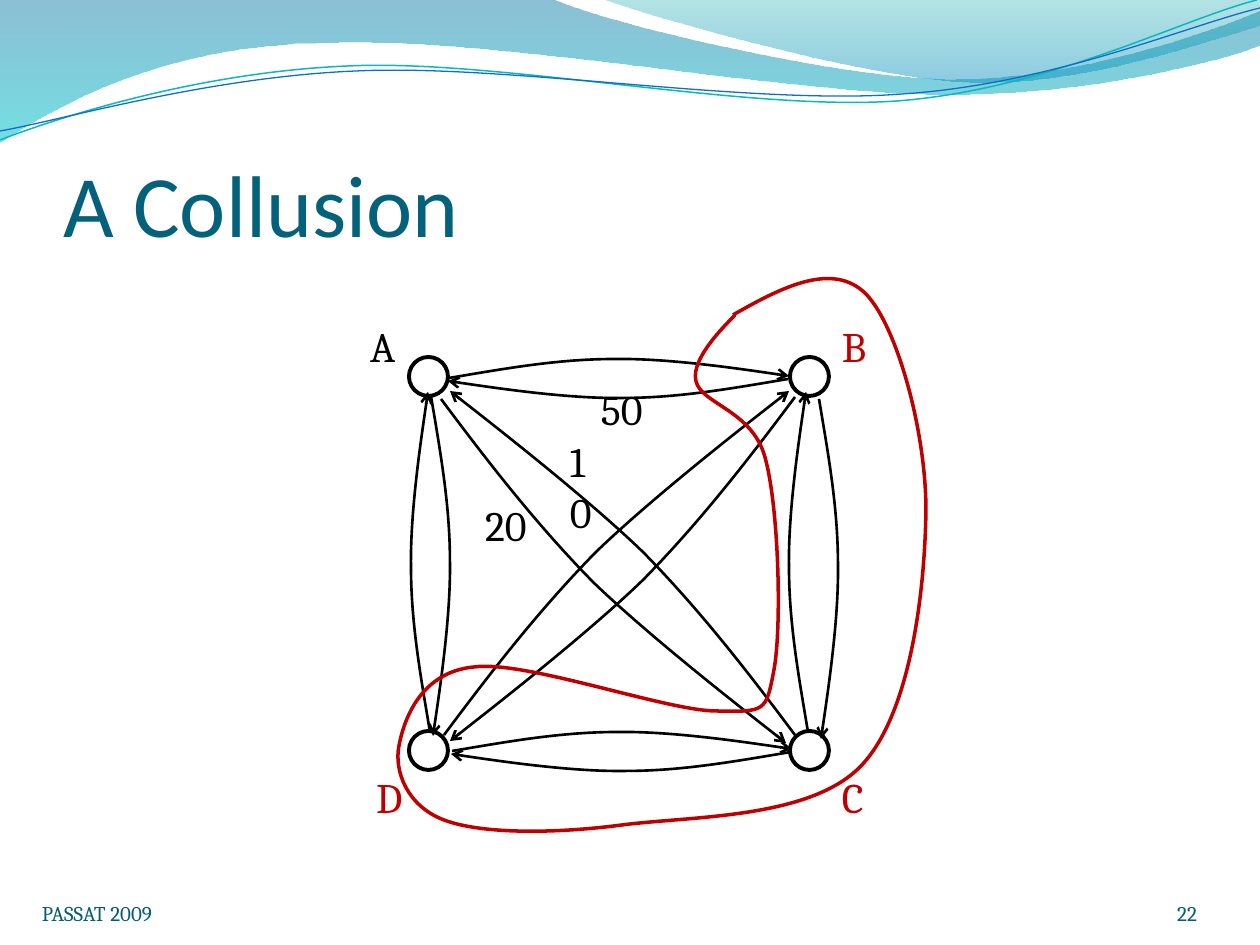
"""Builds a slide showing a collusion of three nodes in a directed trust graph."""
from itertools import product

from lxml.etree import SubElement
from pptx import Presentation
from pptx.dml.color import RGBColor
from pptx.enum.shapes import MSO_SHAPE
from pptx.enum.text import MSO_ANCHOR, PP_ALIGN
from pptx.oxml.ns import qn
from pptx.util import Pt

SCALE = 914400 / 126
COLORS = {
    "black": "000000", "red": "C00000", "title": "04617B", "footer": "045D75",
    "teal_line": "0AB8BF", "blue_line": "0F6FC6", "deep_blue": "0074A1",
    "cyan": "00C6CF", "teal": "00A1A9", "sky": "008BBF",
}


def px(length):
    return round(length * SCALE)


def rgb(name):
    return RGBColor.from_string(COLORS[name])


class SlideBuilder:
    """Holds the style and the current slide."""

    body_font = "Cambria"
    title_font = "Calibri"

    def __init__(self, slide):
        self.slide = slide

    def fill_text(self, shape, text, size, font, color, align, anchor, insets):
        frame = shape.text_frame
        frame.word_wrap = True
        frame.vertical_anchor = anchor
        frame.margin_left, frame.margin_top, frame.margin_right, frame.margin_bottom = map(px, insets)
        paragraph = frame.paragraphs[0]
        paragraph.alignment = align
        run = paragraph.add_run()
        run.text = text
        run.font.size = Pt(size)
        run.font.name = font
        run.font.color.rgb = rgb(color)

    def title(self, text, left, top, width, height):
        shape = self.slide.shapes.title
        shape.left, shape.top, shape.width, shape.height = map(px, (left, top, width, height))
        self.fill_text(shape, text, 50, self.title_font, "title", PP_ALIGN.LEFT,
                       MSO_ANCHOR.BOTTOM, (0, 6, 0, 0))

    def text(self, text, left, top, width, height, color="black", size=24,
             align=PP_ALIGN.LEFT, anchor=MSO_ANCHOR.TOP, insets=(13, 6, 13, 6)):
        shape = self.slide.shapes.add_textbox(*map(px, (left, top, width, height)))
        self.fill_text(shape, text, size, self.body_font, color, align, anchor, insets)

    def outline(self, shape, color, width):
        shape.shadow.inherit = False
        shape.fill.background()
        shape.line.color.rgb = rgb(color)
        shape.line.width = Pt(width)

    def node(self, left, top, size):
        shape = self.slide.shapes.add_shape(MSO_SHAPE.OVAL, *map(px, (left, top, size, size)))
        self.outline(shape, "black", 2.25)

    def path_shape(self, start, segments, close=False):
        """Draws segments of one point as lines and of three points as Bezier curves."""
        builder = self.slide.shapes.build_freeform(*start, scale=SCALE)
        builder.add_line_segments([point for segment in segments for point in segment], close=close)
        shape = builder.convert_to_shape()
        lines = iter(list(shape._element.iter(qn("a:lnTo"))))
        for segment in segments:
            first = next(lines)
            if len(segment) == 3:
                first.tag = qn("a:cubicBezTo")
                for _ in range(2):
                    other = next(lines)
                    first.append(other[0])
                    other.getparent().remove(other)
        return shape

    def curve(self, start, segments, color, width):
        shape = self.path_shape(start, segments)
        self.outline(shape, color, width)
        return shape

    def arrow(self, start, bend):
        shape = self.curve(start, [bend[:3], bend[3:]], "black", 1.5)
        SubElement(shape.line._get_or_add_ln(), qn("a:tailEnd"), type="arrow")

    def wave(self, start, segments, stops):
        shape = self.path_shape(start, segments, close=True)
        shape.shadow.inherit = False
        shape.line.fill.background()
        shape.fill.gradient()
        shape.fill.gradient_angle = 270
        for stop, position, (color, _) in zip(shape.fill.gradient_stops, (0, 1), stops):
            stop.position = position
            stop.color.rgb = rgb(color)
        for element, (_, opacity) in zip(shape._element.iter(qn("a:srgbClr")), stops):
            SubElement(element, qn("a:alpha"), val=str(opacity * 1000))


WAVES = [
    ((0, 0), [[(554, 0)],
              [(600, 21), (837, 79), (955, 79)], [(1075, 79), (1207, 33), (1260, 11)],
              [(1260, 45)],
              [(1239, 55), (1096, 96), (940, 94)], [(784, 94), (481, 35), (324, 43)],
              [(163, 45), (58, 105), (0, 142)]],
     [("deep_blue", 45), ("cyan", 55)]),
    ((604, 0), [[(641, 14), (859, 77), (969, 82)], [(1079, 87), (1211, 40), (1260, 26)],
                [(1260, 0)]],
     [("teal", 30), ("sky", 45)]),
]
WAVE_LINES = [
    ((0, 140), [[(60, 117), (199, 72), (349, 66)], [(498, 59), (747, 112), (898, 101)],
                [(1050, 89), (1182, 19), (1257, 0)]], "teal_line", 0.85),
    ((0, 131), [[(59, 121), (207, 77), (357, 71)], [(508, 64), (752, 106), (903, 94)],
                [(1053, 84), (1186, 26), (1260, 8)]], "blue_line", 0.75),
]
SIDE = [(54, -9), (108, -19), (165, -19), (222, -20), (340, -2), (340, -2)]
DIAGONAL = [(47, -63), (95, -125), (152, -183), (210, -239), (345, -344), (345, -344)]
KEEP, TURN, LEFT_TURN, RIGHT_TURN = (1, 0, 0, 1), (-1, 0, 0, -1), (0, 1, -1, 0), (0, -1, 1, 0)
MIRROR, FLIP = (-1, 0, 0, 1), (1, 0, 0, -1)
ARROWS = [
    ((449, 378), SIDE, KEEP), ((788, 379), SIDE, TURN),
    ((452, 751), SIDE, KEEP), ((791, 752), SIDE, TURN),
    ((808, 732), SIDE, LEFT_TURN), ((819, 399), SIDE, RIGHT_TURN),
    ((430, 732), SIDE, LEFT_TURN), ((431, 396), SIDE, RIGHT_TURN),
    ((444, 735), DIAGONAL, KEEP), ((795, 397), DIAGONAL, TURN),
    ((795, 735), DIAGONAL, MIRROR), ((441, 399), DIAGONAL, FLIP),
]
LABELS = [
    ("50", 588, 378, 68, "black"), ("10", 557, 430, 62, "black"), ("20", 472, 494, 69, "black"),
    ("A", 357, 315, 54, "black"), ("B", 829, 315, 50, "red"),
    ("C", 829, 766, 53, "red"), ("D", 363, 766, 57, "red"),
]
COLLUSION = [
    [(782, 287), (833, 261), (866, 294)], [(897, 326), (926, 431), (926, 510)],
    [(925, 590), (911, 714), (861, 766)], [(810, 819), (692, 816), (622, 825)],
    [(553, 834), (481, 834), (444, 820)], [(407, 806), (394, 771), (399, 746)],
    [(404, 719), (421, 672), (474, 667)], [(525, 660), (667, 711), (716, 711)],
    [(766, 712), (766, 712), (774, 670)], [(782, 627), (779, 507), (765, 457)],
    [(752, 410), (701, 404), (696, 381)], [(690, 357), (732, 319), (735, 315)],
]


def place(start, offsets, matrix):
    a, b, c, d = matrix
    return [(start[0] + a * x + b * y, start[1] + c * x + d * y) for x, y in offsets]


def main():
    presentation = Presentation()
    presentation.slide_width, presentation.slide_height = px(1260), px(945)
    builder = SlideBuilder(presentation.slides.add_slide(presentation.slide_layouts[5]))

    for wave in WAVES:
        builder.wave(*wave)
    for line in WAVE_LINES:
        builder.curve(*line)
    builder.title("A Collusion", 63, 97, 1134, 158)
    footer = {"color": "footer", "size": 12, "anchor": MSO_ANCHOR.BOTTOM, "insets": (0, 0, 0, 0)}
    builder.text("22", 1092, 876, 105, 50, align=PP_ALIGN.RIGHT, **footer)
    builder.text("PASSAT 2009", 42, 892, 136, 34, **footer)

    for left, top in product((409, 790), (357, 731)):
        builder.node(left, top, 39)
    for start, bend, matrix in ARROWS:
        builder.arrow(start, place(start, bend, matrix))
    for text, left, top, width, color in LABELS:
        builder.text(text, left, top, width, 63, color)
    builder.curve((733, 315), COLLUSION, "red", 2)
    presentation.save("out.pptx")


if __name__ == "__main__":
    main()
